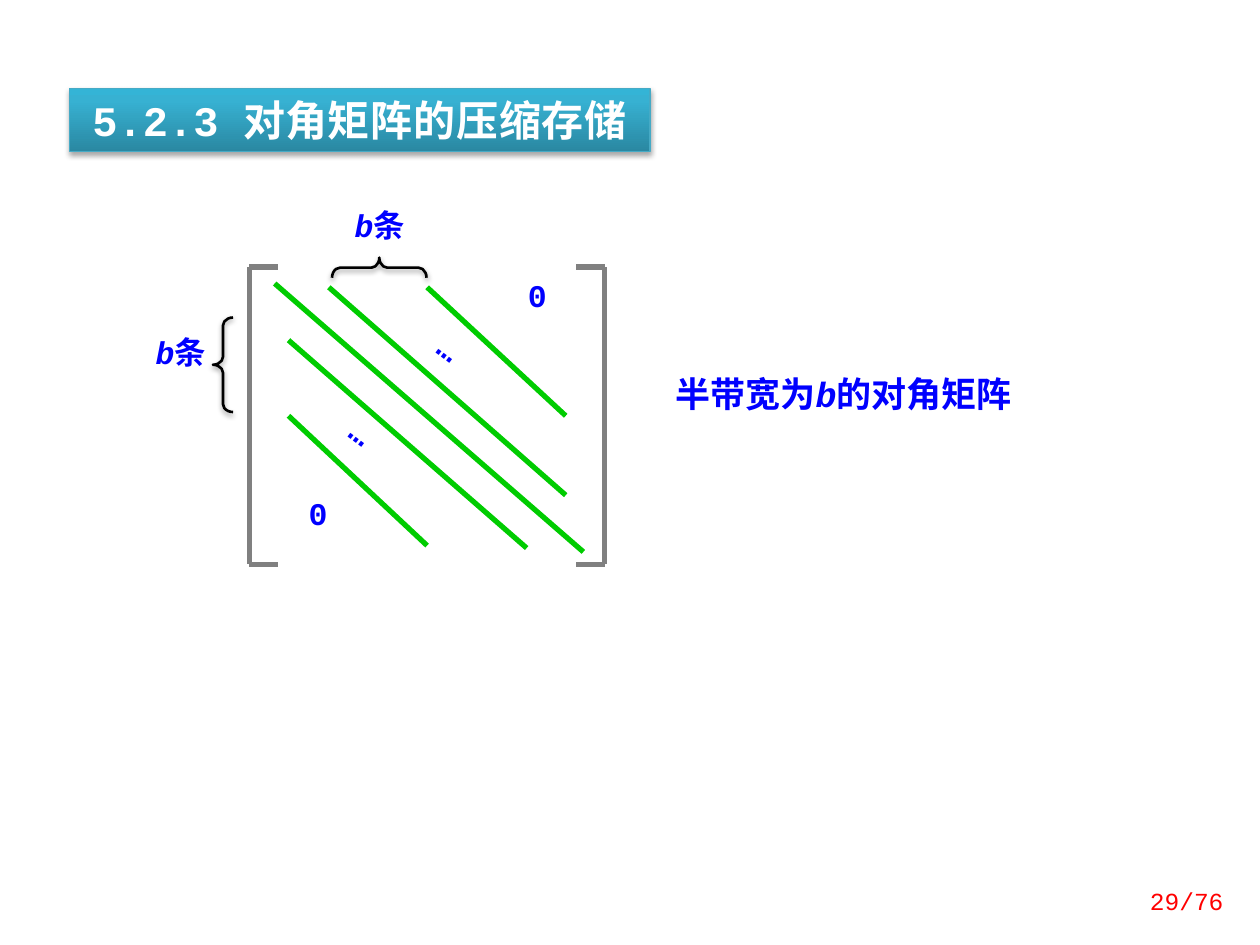
from lxml import etree
from pptx import Presentation
from pptx.dml.color import RGBColor
from pptx.enum.shapes import MSO_CONNECTOR, MSO_SHAPE
from pptx.enum.text import MSO_ANCHOR, MSO_AUTO_SIZE, PP_ALIGN
from pptx.oxml import parse_xml
from pptx.oxml.ns import nsdecls, qn
from pptx.util import Inches, Pt

BLUE = RGBColor(0x00, 0x00, 0xFF)
GREEN = RGBColor(0x00, 0xCC, 0x00)
GRAY = RGBColor(0x80, 0x80, 0x80)
BLACK = RGBColor(0x00, 0x00, 0x00)
WHITE = RGBColor(0xFF, 0xFF, 0xFF)
RED = RGBColor(0xFF, 0x00, 0x00)
TITLE_EDGE = RGBColor(0x46, 0xAA, 0xC5)
TITLE_STOPS = ((0, RGBColor(0x2A, 0x88, 0xA2)), (80, RGBColor(0x37, 0xB1, 0xD2)),
               (100, RGBColor(0x34, 0xB4, 0xD6)))
FONT = "Courier New"

# Offsets in inches from the top left corner of the matrix
DIAGONALS = (
    (0.2, 0.13, 2.65, 2.26),
    (0.63, 0.16, 2.51, 1.81),
    (1.41, 0.16, 2.51, 1.18),
    (0.31, 0.58, 2.2, 2.23),
    (0.31, 1.18, 1.41, 2.21),
)
BAND_COUNT = (("b", True), ("条", False))
LABELS = (
    (-0.94, 0.53, 0, BAND_COUNT),
    (0.64, -0.48, 0, BAND_COUNT),
    (0.15, 1.81, 0, (("0", False),)),
    (1.89, 0.08, 0, (("0", False),)),
    (0.48, 1.16, 36.9, (("…", False),)),
    (1.18, 0.5, 36.9, (("…", False),)),
)
BRACES = ((-0.29, 0.4, 0), (0.95, -0.37, 90))


def write_runs(shape, runs, size, color, bold=True, align=PP_ALIGN.LEFT,
               line_spacing=None, anchor=MSO_ANCHOR.TOP):
    """Fill the shape with one paragraph of (text, italic) runs."""
    frame = shape.text_frame
    frame.word_wrap = True
    frame.auto_size = MSO_AUTO_SIZE.NONE
    frame.vertical_anchor = anchor
    paragraph = frame.paragraphs[0]
    paragraph.alignment = align
    paragraph.line_spacing = line_spacing
    for text, italic in runs:
        run = paragraph.add_run()
        run.text = text
        run.font.color.rgb = color
        formats = {"name": FONT, "size": Pt(size), "bold": bold, "italic": italic}
        for name, value in formats.items():
            setattr(run.font, name, value)
    return paragraph


def add_text(slide, left, top, width, height, runs, size, color, **formats):
    box = slide.shapes.add_textbox(Inches(left), Inches(top), Inches(width), Inches(height))
    write_runs(box, runs, size, color, **formats)
    return box


def add_line(slide, start_x, start_y, end_x, end_y, color):
    line = slide.shapes.add_connector(
        MSO_CONNECTOR.STRAIGHT, Inches(start_x), Inches(start_y), Inches(end_x), Inches(end_y))
    line.line.color.rgb = color
    line.line.width = Pt(3)
    etree.SubElement(line._element.spPr, qn("a:effectLst"))


def drop_shadow(shape, opacity):
    """Cast a soft shadow straight down."""
    shape._element.spPr.append(parse_xml(
        f'<a:effectLst {nsdecls("a")}><a:outerShdw blurRad="{Pt(3.1)}" dist="{Pt(1.7)}" '
        f'dir="5400000" rotWithShape="0"><a:srgbClr val="{BLACK}">'
        f'<a:alpha val="{opacity * 1000}"/></a:srgbClr></a:outerShdw></a:effectLst>'))


def add_brace(slide, left, top, rotation):
    brace = slide.shapes.add_shape(
        MSO_SHAPE.LEFT_BRACE, Inches(left), Inches(top), Inches(0.16), Inches(0.75))
    brace.adjustments[0] = 0.395
    brace.rotation = rotation
    brace.fill.background()
    brace.line.color.rgb = BLACK
    brace.line.width = Pt(1.5)
    drop_shadow(brace, 38)


def place_title(slide, left, top, width, height):
    title = slide.shapes.title
    box = {"left": left, "top": top, "width": width, "height": height}
    for name, value in box.items():
        setattr(title, name, Inches(value))
    stops = "".join(f'<a:gs pos="{position * 1000}"><a:srgbClr val="{color}"/></a:gs>'
                    for position, color in TITLE_STOPS)
    title._element.spPr.append(parse_xml(
        f'<a:gradFill {nsdecls("a")} rotWithShape="1"><a:gsLst>{stops}</a:gsLst>'
        '<a:lin ang="16200000" scaled="0"/></a:gradFill>'))
    title.line.color.rgb = TITLE_EDGE
    title.line.width = Pt(0.75)
    drop_shadow(title, 35)
    paragraph = write_runs(title, (("5.2.3 对角", False), ("矩阵的压缩存储", False)),
                           24, WHITE, align=PP_ALIGN.CENTER)
    paragraph.runs[1].font._element.set("spc", "50")


def draw_matrix(slide, left, top, width, height):
    """Draw the bracketed band matrix with its labels and braces."""
    right, bottom, hook = left + width, top + height, 0.23
    for side, inner in ((left, left + hook), (right, right - hook)):
        add_line(slide, side, top, side, bottom, GRAY)
        for edge in (top, bottom):
            add_line(slide, side, edge, inner, edge, GRAY)
    for start_x, start_y, end_x, end_y in DIAGONALS:
        add_line(slide, left + start_x, top + start_y, left + end_x, top + end_y, GREEN)
    for x, y, rotation in BRACES:
        add_brace(slide, left + x, top + y, rotation)
    for x, y, rotation, runs in LABELS:
        label = add_text(slide, left + x, top + y, 0.79, 0.34, runs, 18, BLUE,
                         align=PP_ALIGN.CENTER, line_spacing=0.8)
        label.rotation = rotation


def add_caption(slide, left, top, width, height):
    runs = (("半带宽为", False), ("b", True), ("的对角矩阵", False))
    caption = add_text(slide, left, top, width, height, runs, 20, BLUE)
    caption.text_frame.margin_left = Inches(0.16)


def add_page_number(slide, left, top, width, height):
    add_text(slide, left, top, width, height, (("29/76", False),), 14, RED,
             bold=False, align=PP_ALIGN.RIGHT, anchor=MSO_ANCHOR.MIDDLE)


def main():
    presentation = Presentation()
    presentation.slide_width = Inches(10)
    presentation.slide_height = Inches(7.5)
    slide = presentation.slides.add_slide(presentation.slide_layouts.get_by_name("Title Only"))
    place_title(slide, 0.55, 0.7, 4.61, 0.5)
    draw_matrix(slide, 1.98, 2.12, 2.82, 2.36)
    add_caption(slide, 5.2, 2.91, 3.7, 0.44)
    add_page_number(slide, 8.83, 6.95, 0.98, 0.4)
    presentation.save("out.pptx")


if __name__ == "__main__":
    main()
